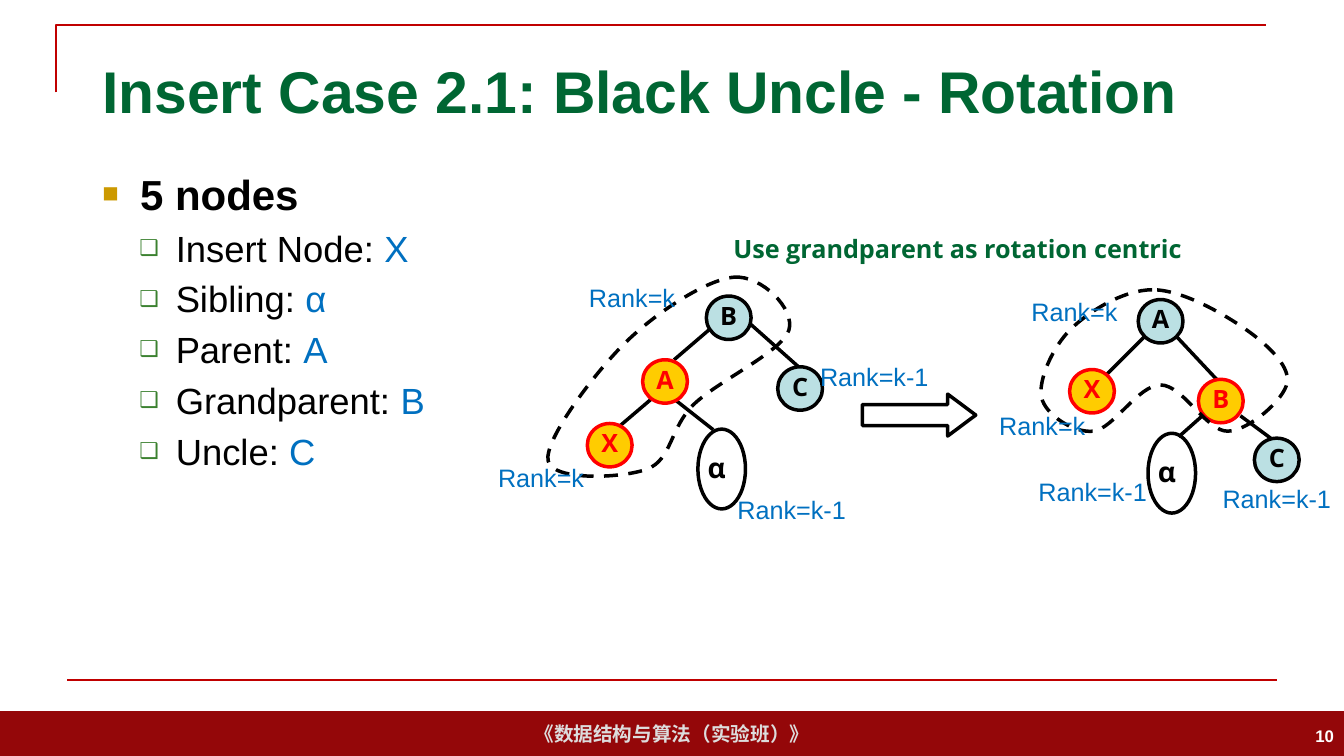
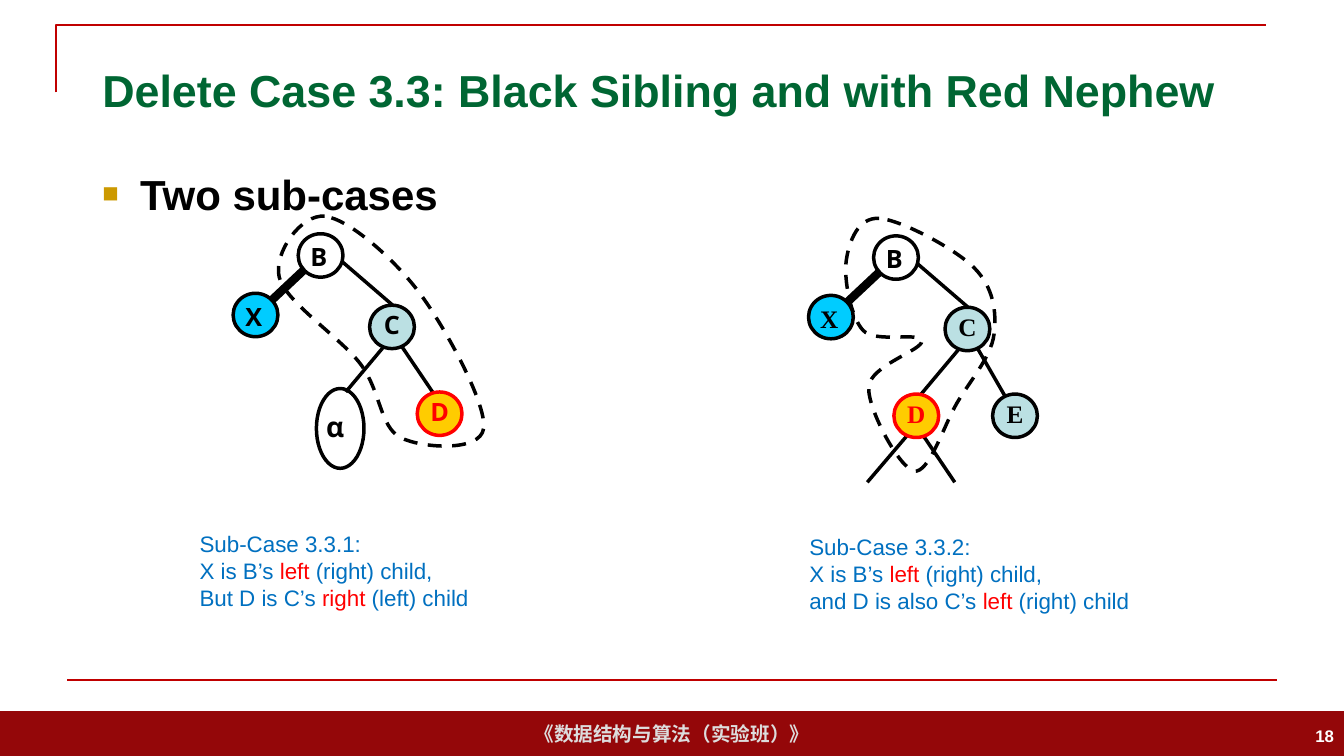
from dataclasses import dataclass

from lxml import etree
from pptx import Presentation
from pptx import util as u
from pptx.dml import color
from pptx.enum import dml, shapes, text
from pptx.oxml import ns


@dataclass(frozen=True)
class Theme:
    font: str = "Arial"
    node_font: str = "Open Sans"
    serif: str = "Times New Roman"
    title: str = "006633"
    accent: str = "0070C0"
    ink: str = "000000"
    red: str = "FF0000"
    rule: str = "C00000"
    band: str = "940709"
    band_text: str = "DDDDDD"
    white: str = "FFFFFF"
    amber: str = "FFCC00"
    pale: str = "BBE0E3"
    cyan: str = "00CCFF"
    square_bullet: str = "CC9900"
    box_bullet: str = "3B812F"
    title_size: float = 42
    long_title_size: float = 32
    heading_size: float = 30
    item_size: float = 26
    label_size: float = 18
    alpha_size: float = 20
    caption_size: float = 16
    footer_size: float = 14
    number_size: float = 12
    outline: float = 2.5
    thick: float = 6
    thin: float = 1.5


@dataclass(frozen=True)
class Box:
    left: float
    top: float
    width: float
    height: float

    def inner(self, left, top, width, height):
        return Box(self.left + left, self.top + top, width, height)

    def emu(self):
        return [u.Pt(v) for v in (self.left, self.top, self.width, self.height)]


THEME = Theme()
PAGE = Box(0, 0, 960, 540)
BODY = Box(66, 116.5, 828, 371)
NODE_SIZE = (32, 31)
SUBTREE_SIZE = (34, 57)
LABEL_SIZE = (112, 28)
LEFT, CENTER, RIGHT = text.PP_ALIGN.LEFT, text.PP_ALIGN.CENTER, text.PP_ALIGN.RIGHT
TOP, MIDDLE = text.MSO_ANCHOR.TOP, text.MSO_ANCHOR.MIDDLE

NODE_STYLES = {
    "red": (THEME.amber, THEME.red, (0, 0, 0, 3.5)),
    "black": (THEME.pale, THEME.ink, (0, 0, 0, 3.5)),
    "any": (None, THEME.ink, (0, 1, 2.5, 0)),
    "target": (THEME.cyan, THEME.ink, (0, 1.5, 2.5, 0)),
}


def rgb(value):
    return color.RGBColor.from_string(value)


def set_fill(shape, value):
    if value:
        shape.fill.solid()
        shape.fill.fore_color.rgb = rgb(value)
    else:
        shape.fill.background()


def set_line(shape, value, width):
    if value:
        shape.line.color.rgb = rgb(value)
        shape.line.width = u.Pt(width)
    else:
        shape.line.fill.background()


def add_run(paragraph, words, size, ink, bold=False, font=THEME.font):
    run = paragraph.add_run()
    run.text = words
    run.font.size = u.Pt(size)
    run.font.name = font
    run.font.bold = bold
    run.font.color.rgb = rgb(ink)


def add_text(slide, box, lines, size, bold=False, font=THEME.font, align=LEFT, anchor=MIDDLE):
    shape = slide.shapes.add_textbox(*box.emu())
    frame = shape.text_frame
    frame.word_wrap = True
    frame.vertical_anchor = anchor
    for index, line in enumerate(lines):
        paragraph = frame.paragraphs[0] if index == 0 else frame.add_paragraph()
        paragraph.alignment = align
        for words, ink in line:
            add_run(paragraph, words, size, ink, bold, font)


def add_preset(slide, box, preset, fill, line, width=THEME.outline):
    shape = slide.shapes.add_shape(preset, *box.emu())
    shape.shadow.inherit = False
    set_fill(shape, fill)
    set_line(shape, line, width)
    return shape


def label_shape(shape, words, size, ink, font, margins=(0, 0, 0, 0)):
    frame = shape.text_frame
    frame.word_wrap = False
    frame.vertical_anchor = MIDDLE
    frame.margin_left, frame.margin_top, frame.margin_right, frame.margin_bottom = map(u.Pt, margins)
    paragraph = frame.paragraphs[0]
    paragraph.alignment = CENTER
    add_run(paragraph, words, size, ink, True, font)


def add_line(slide, box, ends, ink=THEME.ink, width=THEME.outline):
    x1, y1, x2, y2 = ends
    points = (box.left + x1, box.top + y1, box.left + x2, box.top + y2)
    connector = slide.shapes.add_connector(shapes.MSO_CONNECTOR.STRAIGHT, *map(u.Pt, points))
    set_line(connector, ink, width)
    etree.SubElement(connector._element.spPr, ns.qn("a:effectLst"))


def add_outline(slide, box, points, ink, width, closed=False):
    scaled = [(u.Pt(box.left + x), u.Pt(box.top + y)) for x, y in points]
    builder = slide.shapes.build_freeform(*scaled[0], scale=1.0)
    builder.add_line_segments(scaled[1:], close=closed)
    shape = builder.convert_to_shape()
    shape.shadow.inherit = False
    set_fill(shape, None)
    set_line(shape, ink, width)
    return shape


def curve_points(anchors):
    points = [anchors[0]]
    count = len(anchors)
    for index in range(count):
        before, start, end, after = (anchors[(index + k) % count] for k in (-1, 0, 1, 2))
        points.append(tuple(b + (c - a) / 6 for a, b, c in zip(before, start, end)))
        points.append(tuple(c - (d - b) / 6 for b, c, d in zip(start, end, after)))
        points.append(end)
    return points


def add_loop(slide, box, anchors):
    shape = add_outline(slide, box, curve_points(anchors), THEME.ink, THEME.outline, True)
    segments = list(shape._element.iter(ns.qn("a:lnTo")))
    for first, second, last in zip(segments[::3], segments[1::3], segments[2::3]):
        curve = etree.Element(ns.qn("a:cubicBezTo"))
        first.addprevious(curve)
        for segment in (first, second, last):
            curve.append(segment[0])
            segment.getparent().remove(segment)
    shape.line.dash_style = dml.MSO_LINE.DASH


def add_tree(slide, box, edges, nodes, subtrees, loop, labels=(), thick_edges=(), font=THEME.node_font):
    for ends in edges:
        add_line(slide, box, ends)
    for name, left, top, style in nodes:
        fill, ink, margins = NODE_STYLES[style]
        node = add_preset(slide, box.inner(left, top, *NODE_SIZE), shapes.MSO_SHAPE.OVAL, fill, ink)
        node_font = THEME.node_font if style == "any" else font
        label_shape(node, name, THEME.label_size, ink, node_font, margins)
    for ends in thick_edges:
        add_line(slide, box, ends, width=THEME.thick)
    for left, top in subtrees:
        subtree = add_preset(slide, box.inner(left, top, *SUBTREE_SIZE), shapes.MSO_SHAPE.OVAL, None, THEME.ink)
        label_shape(subtree, "α", THEME.alpha_size, THEME.ink, THEME.node_font, (0, 0, 7, 3))
    add_loop(slide, box, loop)
    for words, left, top in labels:
        add_text(slide, box.inner(left, top, *LABEL_SIZE), [[(words, THEME.accent)]], THEME.label_size, align=CENTER)


def set_bullet(paragraph, margin, hang, ink, percent, mark):
    properties = paragraph._p.get_or_add_pPr()
    properties.set("marL", str(u.Pt(margin)))
    properties.set("indent", str(-u.Pt(hang)))
    bullet_color = etree.SubElement(properties, ns.qn("a:buClr"))
    etree.SubElement(bullet_color, ns.qn("a:srgbClr"), val=ink)
    etree.SubElement(properties, ns.qn("a:buSzPct"), val=str(percent * 1000))
    etree.SubElement(properties, ns.qn("a:buFont"), typeface=THEME.font)
    etree.SubElement(properties, ns.qn("a:buChar"), char=mark)


def add_bullets(slide, box, heading, items=()):
    frame = slide.shapes.add_textbox(*box.emu()).text_frame
    frame.word_wrap = True
    paragraph = frame.paragraphs[0]
    set_bullet(paragraph, 27, 27, THEME.square_bullet, 65, "■")
    add_run(paragraph, heading, THEME.heading_size, THEME.ink, True)
    for role, name in items:
        paragraph = frame.add_paragraph()
        paragraph.space_before = u.Pt(5.2)
        set_bullet(paragraph, 52.5, 26, THEME.box_bullet, 60, "❑")
        add_run(paragraph, role, THEME.item_size, THEME.ink)
        add_run(paragraph, name, THEME.item_size, THEME.accent)


def add_frame(presentation, page, title, title_size, number):
    slide = presentation.slides.add_slide(presentation.slide_layouts[6])
    band = add_preset(slide, page.inner(0, 508, page.width, 32), shapes.MSO_SHAPE.RECTANGLE, THEME.band, None)
    label_shape(band, "《数据结构与算法（实验班）》", THEME.footer_size, THEME.band_text, THEME.font)
    add_outline(slide, page, [(40, 66), (40, 18), (904, 18)], THEME.rule, THEME.thin)
    add_line(slide, page, (48, 486, 912, 486), THEME.rule, THEME.thin)
    add_text(slide, page.inner(66, 28.5, 828, 71), [[(title, THEME.title)]], title_size, True)
    add_text(slide, page.inner(744, 511, 216, 29), [[(number, THEME.white)]], THEME.number_size, True, align=RIGHT)
    return slide


def build_insert_slide(presentation, page):
    title = "Insert Case 2.1: Black Uncle - Rotation"
    slide = add_frame(presentation, page, title, THEME.title_size, "10")
    items = [("Insert Node: ", "X"), ("Sibling: ", "α"), ("Parent: ", "A"), ("Grandparent: ", "B"), ("Uncle: ", "C")]
    add_bullets(slide, BODY, "5 nodes", items)
    add_tree(
        slide, page.inner(389.5, 196, 180, 170),
        edges=[(120, 37, 92, 61), (77, 88, 50, 111), (146, 35, 182, 67), (92, 89, 120, 111)],
        nodes=[("A", 69.5, 61, "red"), ("X", 30, 106.5, "red"), ("B", 115, 15.5, "black"), ("C", 166, 66, "black")],
        subtrees=[(109, 110.5)],
        loop=[(135, 2), (174, 40), (106, 93), (73, 139), (2, 133), (57, 49)],
        labels=[("Rank=k", 6, 2.5), ("Rank=k-1", 179, 59), ("Rank=k", -59, 131), ("Rank=k-1", 120, 154)],
    )
    add_tree(
        slide, page.inner(741, 207, 180, 160),
        edges=[(119, 89, 101, 105), (77, 33, 48, 62), (99, 33, 129, 65), (145, 90, 168, 107)],
        nodes=[("X", 23, 57, "red"), ("B", 115, 64, "red"), ("A", 72, 7, "black"), ("C", 155, 106, "black")],
        subtrees=[(79, 102.5)],
        loop=[(82, 0), (24, 28), (3, 77), (40, 101), (88, 68), (136, 101), (178.5, 66), (147, 27)],
        labels=[("Rank=k", -29.5, 1.5), ("Rank=k", -52.5, 83), ("Rank=k-1", -16.5, 130), ("Rank=k-1", 115, 135)],
    )
    arrow = add_preset(slide, page.inner(616, 281.5, 81, 30), shapes.MSO_SHAPE.RIGHT_ARROW, None, THEME.ink)
    arrow.adjustments[0], arrow.adjustments[1] = 0.5, 0.67
    hint = [[("Use grandparent as rotation centric", THEME.title)]]
    add_text(slide, page.inner(499, 163.5, 370, 28), hint, THEME.label_size, True, THEME.node_font, CENTER)


def add_subcase_caption(slide, box, number, lead, side, other):
    inks = (THEME.accent, THEME.red, THEME.accent)
    rows = [("X is B’s ", "left", " (right) child,"), (lead, side, f" ({other}) child")]
    lines = [[(f"Sub-Case {number}:", THEME.accent)]] + [list(zip(row, inks)) for row in rows]
    add_text(slide, box, lines, THEME.caption_size, anchor=TOP)


def build_delete_slide(presentation, page):
    title = "Delete Case 3.3: Black Sibling and with Red Nephew"
    slide = add_frame(presentation, page, title, THEME.long_title_size, "18")
    add_bullets(slide, BODY, "Two sub-cases")
    shared_edges = [(78, 34, 114, 65), (109, 93, 80.5, 127)]
    shared_nodes = [("B", 46.5, 14, "any"), ("X", 0, 56.5, "target"), ("C", 97.5, 65, "black")]
    thick_edges = [(27, 62, 51, 39.5)]
    add_tree(
        slide, page.inner(166.5, 153, 180, 170),
        edges=shared_edges + [(119.5, 93, 142.5, 127)],
        nodes=shared_nodes + [("D", 131.5, 127, "red")],
        subtrees=[(59.5, 124.5)],
        loop=[(65.5, 1.5), (33, 45), (91, 107), (119.5, 159.5), (179, 153), (133, 56)],
        thick_edges=thick_edges,
    )
    add_tree(
        slide, page.inner(577.5, 154.5, 164, 190),
        edges=shared_edges + [(120, 93, 143, 133), (71, 156, 42, 190), (81.5, 156, 104.5, 190)],
        nodes=shared_nodes + [("E", 131.5, 127, "black"), ("D", 61, 127, "red")],
        subtrees=[],
        loop=[(50.5, 1.5), (27, 31.5), (39, 81.5), (81, 89), (43, 122), (75.5, 182), (106, 133.5), (132.5, 84.5), (118.5, 37)],
        thick_edges=thick_edges,
        font=THEME.serif,
    )
    add_subcase_caption(slide, page.inner(135.5, 375, 213, 66), "3.3.1", "But D is C’s ", "right", "left")
    add_subcase_caption(slide, page.inner(571, 377.5, 261, 66), "3.3.2", "and D is also C’s ", "left", "right")


def main():
    presentation = Presentation()
    presentation.slide_width, presentation.slide_height = u.Pt(PAGE.width), u.Pt(PAGE.height)
    build_insert_slide(presentation, PAGE)
    build_delete_slide(presentation, PAGE)
    presentation.save("out.pptx")


if __name__ == "__main__":
    main()
